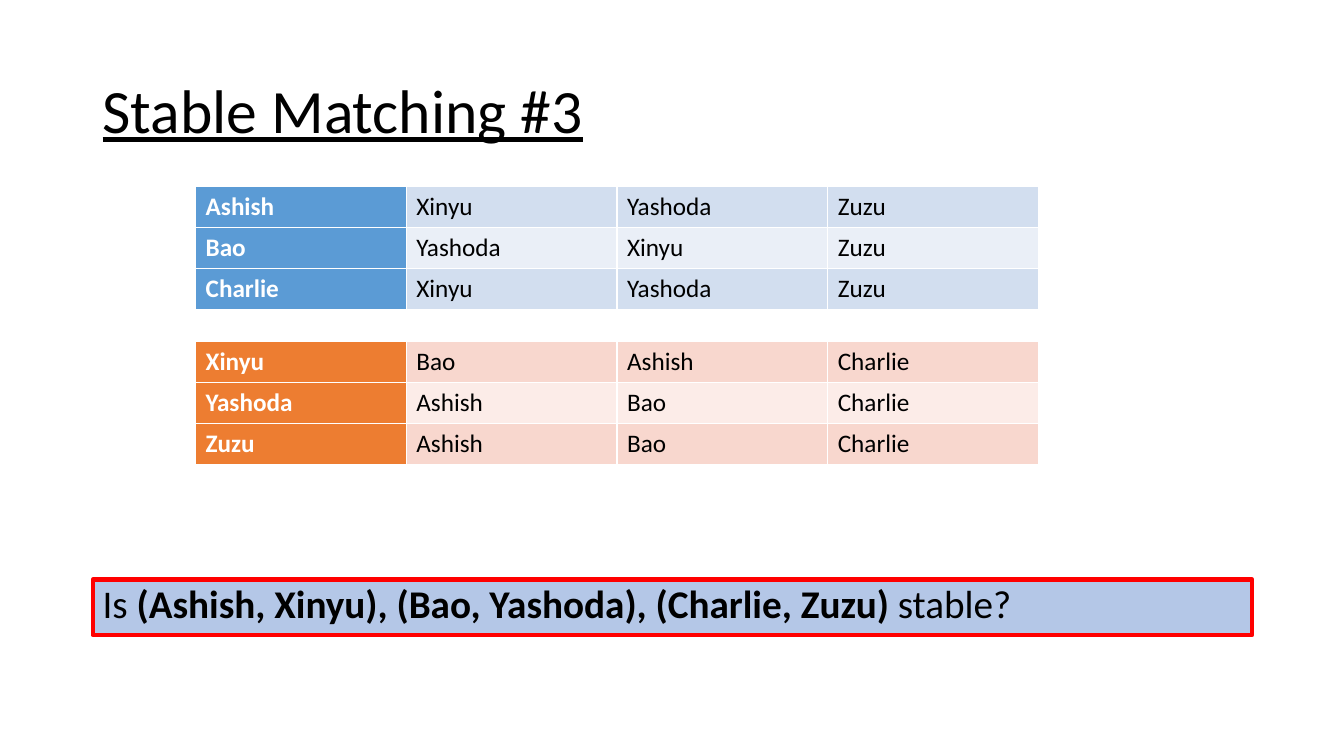
from dataclasses import dataclass

from lxml.etree import SubElement
from pptx import Presentation
from pptx.dml.color import RGBColor
from pptx.enum.shapes import MSO_SHAPE
from pptx.enum.text import MSO_ANCHOR, PP_ALIGN
from pptx.oxml.ns import qn
from pptx.shapes.autoshape import Shape
from pptx.slide import Slide
from pptx.table import _Cell
from pptx.text.text import _Paragraph
from pptx.util import Inches, Pt

FONT = "Calibri"
BLACK = "000000"
WHITE = "FFFFFF"
TABLE_LEFT = 1.94
COLUMN_WIDTH = 2.09
ROW_HEIGHT = 0.4


@dataclass(frozen=True)
class TextRun:
    text: str
    size: float
    color: str = BLACK
    bold: bool = False
    underline: bool = False


@dataclass(frozen=True)
class TextBlock:
    top: float
    height: float
    anchor: MSO_ANCHOR
    space_before: float
    runs: tuple[TextRun, ...]
    fill: str | None = None
    line: str | None = None


@dataclass(frozen=True)
class PreferenceTable:
    top: float
    name_fill: str
    band_fills: tuple[str, str]
    rows: tuple[tuple[str, ...], ...]


TEXT_BLOCKS = (
    TextBlock(0.4, 1.45, MSO_ANCHOR.MIDDLE, 0,
              (TextRun("Stable Matching #3", 44, underline=True),)),
    TextBlock(5.75, 0.55, MSO_ANCHOR.TOP, 10,
              (TextRun("Is ", 28),
               TextRun("(Ashish, Xinyu), (Bao, Yashoda), (Charlie, Zuzu)", 28, bold=True),
               TextRun(" stable?", 28)),
              fill="B4C7E7", line="FF0000"),
)

PREFERENCE_TABLES = (
    PreferenceTable(1.85, "5B9BD5", ("D2DEEF", "EAEFF7"),
                    (("Ashish", "Xinyu", "Yashoda", "Zuzu"),
                     ("Bao", "Yashoda", "Xinyu", "Zuzu"),
                     ("Charlie", "Xinyu", "Yashoda", "Zuzu"))),
    PreferenceTable(3.39, "ED7D31", ("F8D7CE", "FCECE8"),
                    (("Xinyu", "Bao", "Ashish", "Charlie"),
                     ("Yashoda", "Ashish", "Bao", "Charlie"),
                     ("Zuzu", "Ashish", "Bao", "Charlie"))),
)


def color(value: str) -> RGBColor:
    return RGBColor.from_string(value)


def add_run(paragraph: _Paragraph, text_run: TextRun) -> None:
    run = paragraph.add_run()
    run.text = text_run.text
    run.font.name = FONT
    run.font.size = Pt(text_run.size)
    run.font.bold = text_run.bold
    run.font.underline = text_run.underline
    run.font.color.rgb = color(text_run.color)


def add_text_block(slide: Slide, block: TextBlock) -> Shape:
    shape = slide.shapes.add_shape(MSO_SHAPE.RECTANGLE, Inches(0.92), Inches(block.top),
                                   Inches(11.5), Inches(block.height))
    shape.shadow.inherit = False
    if block.fill:
        shape.fill.solid()
        shape.fill.fore_color.rgb = color(block.fill)
    else:
        shape.fill.background()
    if block.line:
        shape.line.color.rgb = color(block.line)
        shape.line.width = Pt(3)
    else:
        shape.line.fill.background()
    shape.text_frame.word_wrap = True
    shape.text_frame.vertical_anchor = block.anchor
    paragraph = shape.text_frame.paragraphs[0]
    paragraph.alignment = PP_ALIGN.LEFT
    paragraph.line_spacing = 0.9
    paragraph.space_before = Pt(block.space_before)
    for text_run in block.runs:
        add_run(paragraph, text_run)
    return shape


def add_borders(cell: _Cell) -> None:
    properties = cell._tc.get_or_add_tcPr()
    for side in ("a:lnL", "a:lnR", "a:lnT", "a:lnB"):
        border = SubElement(properties, qn(side), w=str(Pt(1)))
        fill = SubElement(border, qn("a:solidFill"))
        SubElement(fill, qn("a:srgbClr"), val=WHITE)


def add_preference_table(slide: Slide, preferences: PreferenceTable) -> None:
    row_count, column_count = len(preferences.rows), len(preferences.rows[0])
    table = slide.shapes.add_table(row_count, column_count,
                                   Inches(TABLE_LEFT), Inches(preferences.top),
                                   Inches(COLUMN_WIDTH * column_count),
                                   Inches(ROW_HEIGHT * row_count)).table
    table.first_row = False
    table.first_col = True
    table.horz_banding = False
    for row_index, names in enumerate(preferences.rows):
        for column_index, name in enumerate(names):
            is_chooser = column_index == 0
            cell = table.cell(row_index, column_index)
            add_borders(cell)
            cell.fill.solid()
            cell.fill.fore_color.rgb = color(
                preferences.name_fill if is_chooser else preferences.band_fills[row_index % 2])
            add_run(cell.text_frame.paragraphs[0],
                    TextRun(name, 18, WHITE if is_chooser else BLACK, bold=is_chooser))


def main() -> None:
    presentation = Presentation()
    presentation.slide_width = Inches(13.33)
    presentation.slide_height = Inches(7.5)
    slide = presentation.slides.add_slide(presentation.slide_layouts[6])
    for block in TEXT_BLOCKS:
        add_text_block(slide, block)
    for preferences in PREFERENCE_TABLES:
        add_preference_table(slide, preferences)
    presentation.save("out.pptx")


if __name__ == "__main__":
    main()
